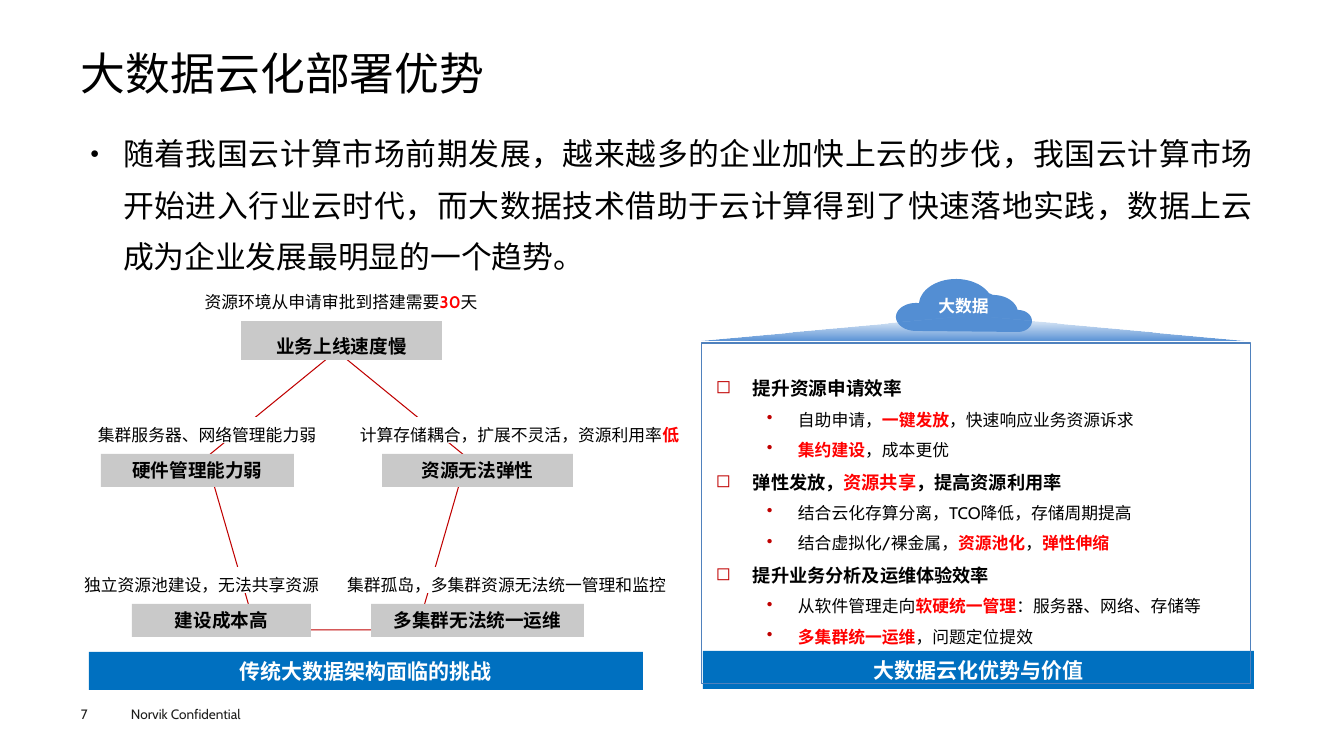
from math import cos, sin, radians
from lxml.etree import SubElement
from pptx import Presentation
from pptx.dml.color import RGBColor as RGB
from pptx.enum.shapes import MSO_SHAPE as Shape
from pptx.enum.text import MSO_ANCHOR as Anchor, MSO_AUTO_SIZE as Fit, PP_ALIGN as Align
from pptx.oxml.ns import qn
from pptx.util import Pt

BLACK, WHITE = RGB(0, 0, 0), RGB(255, 255, 255)
RED, DARK = RGB(0xFF, 0, 0), RGB(0x1D, 0x1D, 0x1B)
CRIMSON, GREY = RGB(0xC0, 0, 0), RGB(0xC9, 0xC9, 0xC9)
NAVY, SKY = RGB(0, 0x70, 0xC0), RGB(0x53, 0x8E, 0xD3)
ROOF, EDGE = RGB(0x54, 0x8F, 0xD5), RGB(0x4F, 0x81, 0xBD)
FONT = "Cabin"
WIDE, HIGH = 1344, 756
PX = 12192000 / WIDE

# Content: boxes are left, top, width, height in px;
# in a list of runs every second one is red and bold
TITLE = "大数据云化部署优势"
INTRO = ("随着我国云计算市场前期发展，越来越多的企业加快上云的步伐，"
         "我国云计算市场开始进入行业云时代，而大数据技术借助于云计算得到了快速落地实践，"
         "数据上云成为企业发展最明显的一个趋势。")
BARS = [
    ("传统大数据架构面临的挑战", (89, 652, 554, 38)),
    ("大数据云化优势与价值", (703, 651, 551, 38)),
]
TAGS = [  # text, box, hanging indent, line spacing
    ("业务上线速度慢", (241, 321, 201, 39), 37, 1.4),
    ("资源无法弹性", (382, 454, 191, 33), 29, 1.0),
    ("硬件管理能力弱", (101, 454, 193, 33), 29, 1.0),
    ("多集群无法统一运维", (371, 604, 213, 33), 29, 1.0),
    ("建设成本高", (132, 604, 179, 33), 29, 1.0),
]
NOTES = [  # runs, box, top inset, alignment
    (["资源环境从申请审批到搭建需要", "30", "天"], (184, 279, 314, 36), 5, Align.CENTER),
    (["计算存储耦合，扩展不灵活，资源利用率", "低"], (328, 417, 383, 26), 0, Align.CENTER),
    (["集群服务器、网络管理能力弱"], (88, 417, 249, 26), 0, Align.LEFT),
    (["独立资源池建设，无法共享资源"], (74, 567, 296, 26), 0, Align.LEFT),
    (["集群孤岛，多集群资源无法统一管理和监控"], (337, 567, 348, 26), 0, Align.LEFT),
]
GAINS = [  # heading size, heading, points
    (13.3, ["提升资源申请效率"], [
        ["自助申请，", "一键发放", "，快速响应业务资源诉求"],
        ["", "集约建设", "，成本更优"]]),
    (13, ["弹性发放，", "资源共享", "，提高资源利用率"], [
        ["结合云化存算分离，TCO降低，存储周期提高"],
        ["结合虚拟化/裸金属，", "资源池化", "，", "弹性伸缩"]]),
    (13, ["提升业务分析及运维体验效率"], [
        ["从软件管理走向", "软硬统一管理", "：服务器、网络、存储等"],
        ["", "多集群统一运维", "，问题定位提效"]]),
]
LOBES = [  # centre x, y, radius x, y, first and last angle
    (1018, 321, 14, 11, 90, -90),
    (993, 313, 25, 18, -8, -90),
    (956, 305, 37, 26, -27, -176),
    (916, 317, 20, 14, -81, -270),
]


def px(n):
    return round(n * PX)


def put(item, **vals):
    for key, val in vals.items():
        setattr(item, key, val)


def place(item, box):
    put(item, **dict(zip(("left", "top", "width", "height"), map(px, box))))


def setup(frame, ins=(10, 5), anchor=Anchor.TOP):
    x, y = map(px, ins)
    put(frame, word_wrap=True, auto_size=Fit.NONE, vertical_anchor=anchor,
        margin_left=x, margin_right=x, margin_top=y, margin_bottom=y)
    return frame.paragraphs[0]


def write(para, runs, size, color=BLACK, bold=False, align=Align.LEFT,
          gap=1.0, left=0, hang=0, mark=None, tint=None, scale=None):
    put(para, alignment=align, line_spacing=gap, space_before=Pt(0))
    props = para._p.get_or_add_pPr()
    props.set("marL", str(px(left)))
    props.set("indent", str(px(-hang)))
    if tint:
        SubElement(SubElement(props, qn("a:buClr")), qn("a:srgbClr")).set("val", str(tint))
    if scale:
        SubElement(props, qn("a:buSzPct")).set("val", str(scale * 1000))
    if mark:
        SubElement(props, qn("a:buChar")).set("char", mark)
    else:
        SubElement(props, qn("a:buNone"))
    for i, text in enumerate(runs):
        if text:
            run = para.add_run()
            run.text = text
            put(run.font, name=FONT, size=Pt(size), bold=bold or i % 2 == 1)
            run.font.color.rgb = RED if i % 2 else color


def paint(item, fill=None, line=None):
    item.shadow.inherit = False
    if fill is not None:
        item.fill.solid()
        item.fill.fore_color.rgb = fill
    else:
        item.fill.background()
    if line is not None:
        item.line.color.rgb = line
        item.line.width = Pt(0.75)
    else:
        item.line.fill.background()


def shape(kind, box, fill=None, line=None):
    item = slide.shapes.add_shape(kind, *map(px, box))
    paint(item, fill, line)
    return item


def label(box):
    return slide.shapes.add_textbox(*map(px, box)).text_frame


def bar(text, box):
    item = shape(Shape.RECTANGLE, box, NAVY)
    write(setup(item.text_frame, (0, 0), Anchor.MIDDLE), [text], 15, WHITE, True, Align.CENTER)


deck = Presentation()
put(deck, slide_width=px(WIDE), slide_height=px(HIGH))
slide = deck.slides.add_slide(deck.slide_layouts[1])

# Title, introduction and footer
head, body = slide.placeholders
place(head, (81, 49, 1182, 53))
write(setup(head.text_frame, (0, 0), Anchor.MIDDLE), [TITLE], 32, gap=0.9)
place(body, (81, 116, 1182, 538))
write(setup(body.text_frame, (9, 4)), [INTRO], 22, align=Align.JUSTIFY, gap=1.4,
      left=33, hang=33, mark="●", scale=50)
write(setup(label((121, 701, 161, 27))), ["Norvik Confidential"], 9.7, DARK)
write(setup(label((81, 706, 55, 16)), (0, 0)), ["7"], 9.7, DARK)

# Left: challenges around a pentagon
bar(*BARS[0])
shape(Shape.REGULAR_PENTAGON, (206, 351, 261, 279), line=CRIMSON)
for text, box, hang, gap in TAGS:
    tag = shape(Shape.RECTANGLE, box, GREY)
    write(setup(tag.text_frame), [text], 13.3, bold=True, align=Align.CENTER,
          gap=gap, left=hang, hang=hang)
for runs, box, top, align in NOTES:
    note = shape(Shape.RECTANGLE, box, WHITE)
    write(setup(note.text_frame, (10, top)), runs, 12, align=align, gap=1.4, left=37, hang=37)

# Right: cloud above the list of gains
bar(*BARS[1])
STEPS = 24
dots = []
for x, y, wide, high, first, last in LOBES:
    for i in range(STEPS + 1):
        turn = radians(first + (last - first) * i / STEPS)
        dots.append((px(x + wide * cos(turn)), px(y + high * sin(turn))))
pen = slide.shapes.build_freeform(*dots[0])
pen.add_line_segments(dots[1:], close=True)
paint(pen.convert_to_shape(), SKY)
write(setup(label((835, 291, 257, 30))), ["大数据"], 12, WHITE, True, Align.CENTER,
      left=37, hang=37)

gains = label((706, 361, 548, 293))
para = setup(gains)
for i, (size, name, points) in enumerate(GAINS):
    if i:
        para = gains.add_paragraph()
    write(para, name, size, bold=True, gap=1.5, left=37, hang=37, mark="◻", tint=CRIMSON)
    for runs in points:
        para = gains.add_paragraph()
        para.level = 1
        write(para, runs, 12, gap=1.5, left=82, hang=31, mark="•", tint=CRIMSON)

# House frame and fading roof
shape(Shape.RECTANGLE, (702, 343, 549, 341), line=EDGE)
roof = shape(Shape.ISOSCELES_TRIANGLE, (700, 316, 549, 25))
roof.fill.gradient()
roof.fill.gradient_angle = 270
for stop, spot in zip(roof.fill.gradient_stops, (0, 1)):
    stop.color.rgb = ROOF
    stop.position = spot
clear = roof._element.xpath(".//a:gsLst//a:srgbClr")[0]
SubElement(clear, qn("a:alpha")).set("val", "0")

deck.save("out.pptx")
